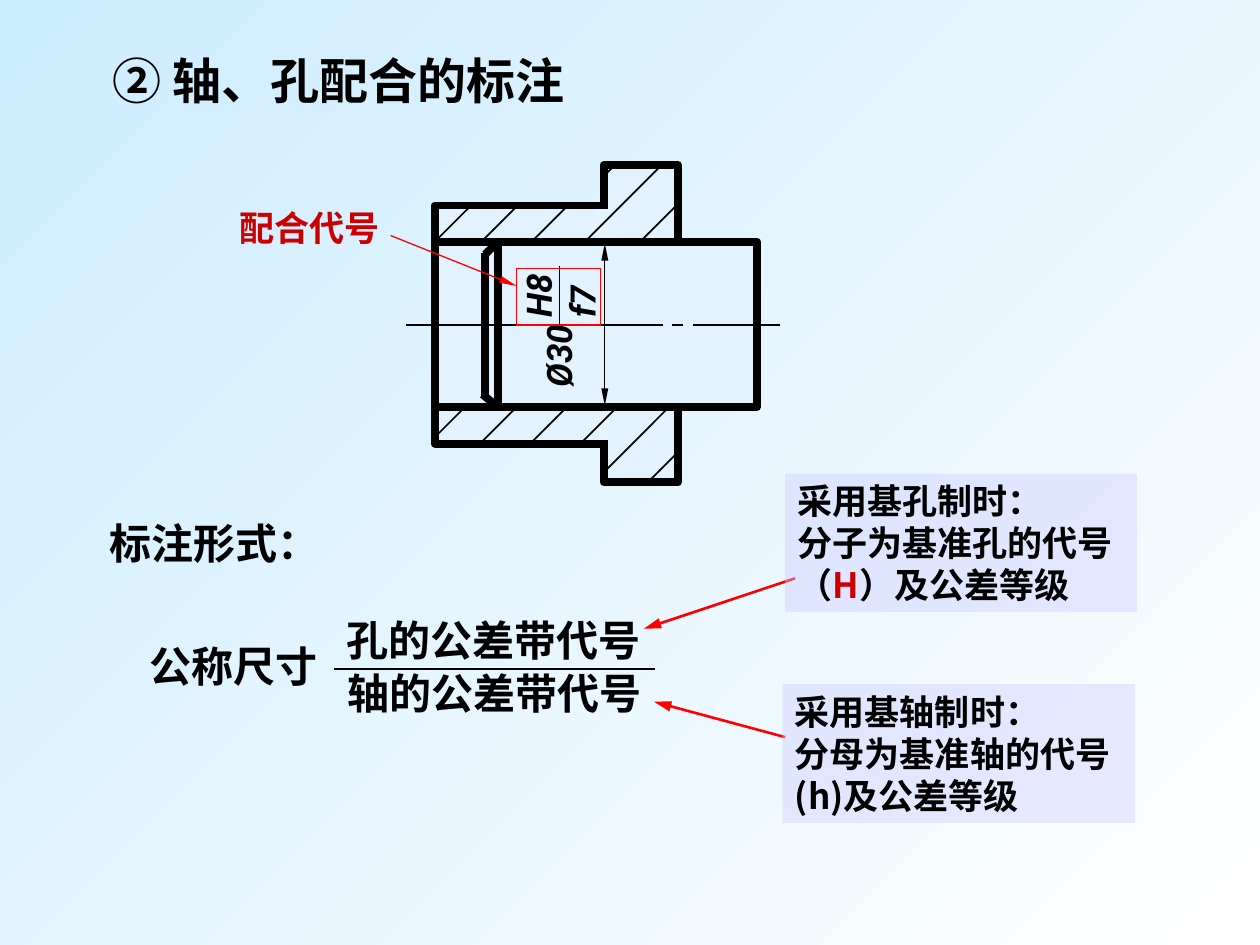
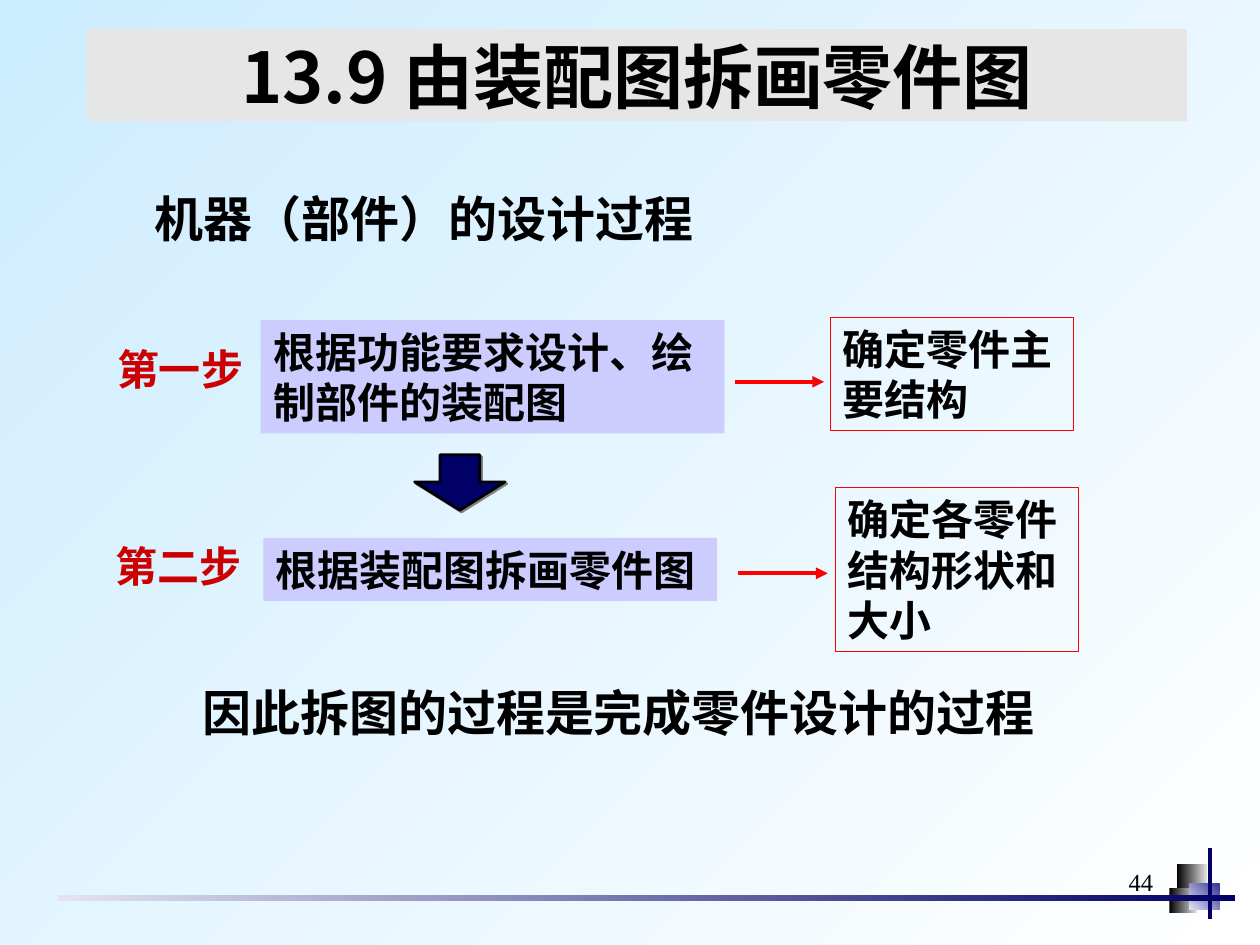
"""Build two slides on fit annotation and on deriving part drawings from an assembly drawing."""
from lxml import etree
from pptx import Presentation
from pptx import util as u
from pptx.dml.color import RGBColor
from pptx.enum import shapes, text
from pptx.oxml import ns

COLORS = {
    "sky": "CCECFF", "white": "FFFFFF", "black": "000000", "red": "FF0000",
    "crimson": "CC0000", "lilac": "CCCCFF", "metal": "E2F2FE", "eraser": "E6F4FE",
    "navy": "000066", "indigo": "333399", "mist": "E3E3F1", "silver": "E3E3E3",
    "band": "E6E6E6", "shadow": "808080",
}
CJK, SERIF, SANS = "Noto Sans CJK SC", "Times New Roman", "Roboto"

FIT_TITLE = ("② 轴、孔配合的标注", (36.7, 25.2, 313.2, 41))
FORM_LABELS = [
    ("标注形式：", (55.4, 292.3, 152, 36)),
    ("公称尺寸", (78.5, 362.2, 142.6, 36)),
    ("孔的公差带代号", (190.8, 347.8, 226, 36)),
    ("轴的公差带代号", (191.5, 378, 224.6, 36)),
]
FIT_NOTES = [
    (["采用基轴制时：", "分母为基准轴的代号(h)及公差等级"],
     (447.1, 391, 201.6, 79.2), (448.6, 421.2, 373.7, 401)),
    (["采用基孔制时：", [("分子为基准孔的代号（", "black"), ("H", "crimson"), ("）及公差等级", "black")]],
     (448.6, 270.7, 201, 79.2), (454.3, 330.5, 367.9, 359.3)),
]
BUSHING = (248.4, 117.4, 136.8, 136.1)
FLANGE = (344.9, 94.3, 42.5, 181.4)
BORE = (248.4, 138.2, 139, 94.3)
SHAFT = (284.4, 138.2, 148.3, 94.3)
HATCHES = [
    (249.1, 137.5, 20.9), (275, 138.2, 22.3), (303.8, 138.2, 21.6), (333.4, 139, 44.6),
    (366.5, 137.5, 21), (344.2, 101.5, 7.9), (247.7, 250.6, 18.4), (273.6, 254.2, 22.3),
    (303.8, 252.7, 20.5), (332.6, 252.7, 20.9), (345.6, 269.3, 37.1), (371.5, 274.3, 16.9),
]
CHAMFER = [(283.7, 139, 277.2, 145.4), (277.2, 144.7, 277.2, 226.8), (284.4, 232.6, 275.8, 225.4)]
AXIS_Y = 185.8
AXIS_DASHES = [(312.5, 378.7), (231.8, 295.2), (299.5, 306.7), (383.8, 390.2), (396, 445.7)]
DIMENSIONS = [
    ("Ø30", (283, 176.4, 72, 31.7)),
    ("H8", (285.1, 150.5, 44.6, 31.7)),
    ("f7", (313.2, 153.4, 38.2, 31.7)),
]

SECTION_TITLE = ("13.9 由装配图拆画零件图", (49.7, 16.6, 628.6, 52.6))
STATEMENTS = [
    ("机器（部件）的设计过程", (81.4, 104.4, 347, 41)),
    ("因此拆图的过程是完成零件设计的过程", (108.7, 386.6, 588.2, 41)),
]
STEPS = [
    ("第一步", (59.8, 193, 161.3, 36), "根据功能要求设计、绘制部件的装配图", (149, 182.9, 265, 64.8),
     "确定零件主要结构", (474.5, 181.4, 139, 64.8), (419.8, 218.2)),
    ("第二步", (59, 305.3, 161.3, 36), "根据装配图拆画零件图", (150.5, 307.4, 259.2, 36),
     "确定各零件结构形状和大小", (477.4, 278.6, 139, 93.6), (421.9, 327.6)),
]
STEP_ARROW_LENGTH = 51.1
FOOTER_BLOCKS = [
    ((672.5, 493.9, 17.3, 13.7), "black", "silver", 0),
    ((668.2, 507.6, 15.8, 14.4), "black", "silver", 0),
    ((679.7, 504.7, 17.3, 15.1), "indigo", "mist", 225),
    ((33.1, 511.2, 672.5, 3.6), "mist", "navy", 0),
]


def rgb(name):
    return RGBColor.from_string(COLORS[name])


def pts(values):
    return [u.Pt(value) for value in values]


def set_gradient(fill, start, end, angle):
    fill.gradient()
    fill.gradient_angle = angle
    for stop, name in zip(fill.gradient_stops, (start, end)):
        stop.color.rgb = rgb(name)


def add_element(parent, tag, **attributes):
    return etree.SubElement(parent, ns.qn(tag), attributes)


def add_box(slide, place, fill=None, line=None, width=0.75, alpha=None,
            kind=shapes.MSO_SHAPE.RECTANGLE):
    box = slide.shapes.add_shape(kind, *pts(place))
    box.shadow.inherit = False
    if fill:
        box.fill.solid()
        box.fill.fore_color.rgb = rgb(fill)
    else:
        box.fill.background()
    if alpha:
        color = box.fill._xPr.find(".//" + ns.qn("a:srgbClr"))
        add_element(color, "a:alpha", val=str(alpha * 1000))
    if line:
        box.line.color.rgb = rgb(line)
        box.line.width = u.Pt(width)
    else:
        box.line.fill.background()
    return box


def write(box, content, size=24, font=CJK, color="black", bold=True, italic=False,
          align=text.PP_ALIGN.LEFT, anchor=text.MSO_ANCHOR.TOP, wrap=True):
    frame = box.text_frame
    frame.word_wrap = wrap
    frame.vertical_anchor = anchor
    lines = [content] if isinstance(content, str) else content
    for index, line in enumerate(lines):
        para = frame.add_paragraph() if index else frame.paragraphs[0]
        para.alignment = align
        for words, tint in [(line, color)] if isinstance(line, str) else line:
            span = para.add_run()
            span.text = words
            span.font.size = u.Pt(size)
            span.font.bold = bold
            span.font.italic = italic
            span.font.color.rgb = rgb(tint)
            span.font.name = font
            add_element(span.font._element, "a:ea", typeface=CJK)


def add_text(slide, content, place, **style):
    box = slide.shapes.add_textbox(*pts(place))
    write(box, content, **style)
    return box


def add_line(slide, ends, color="black", width=1, tail=None, head=None):
    line = slide.shapes.add_connector(shapes.MSO_CONNECTOR.STRAIGHT, *pts(ends))
    line.line.color.rgb = rgb(color)
    line.line.width = u.Pt(width)
    stroke = line.line._get_or_add_ln()
    for tag, size in (("a:headEnd", head), ("a:tailEnd", tail)):
        if size:
            add_element(stroke, tag, type="triangle", w=size[0], len=size[1])
    add_element(line._element.spPr, "a:effectLst")


def add_slide(deck):
    slide = deck.slides.add_slide(deck.slide_layouts[6])
    set_gradient(slide.background.fill, "sky", "white", 315)
    return slide


def draw_fit(slide):
    for part in (BUSHING, FLANGE):
        add_box(slide, part, "metal", "black", 4.5)
    add_line(slide, (FLANGE[0], 119.5, FLANGE[0], 251.3), "eraser", 6)
    add_box(slide, BORE, "metal", "black", 4.5)
    for x, y, run in HATCHES:
        add_line(slide, (x, y, x + run, y - run))
    add_box(slide, SHAFT, "metal", "black", 4.5)
    for ends in CHAMFER:
        add_line(slide, ends, width=4.5)
    for start, end in AXIS_DASHES:
        add_line(slide, (start, AXIS_Y, end, AXIS_Y))
    add_box(slide, (305.3, 177.8, 32.4, 12.2), "metal", "eraser")
    add_line(slide, (345.6, 139, 345.6, 231.8), width=0.75, head=("sm", "lg"), tail=("sm", "lg"))
    for label, place in DIMENSIONS:
        box = add_text(slide, label, place, size=20, font=SANS, italic=True,
                       anchor=text.MSO_ANCHOR.MIDDLE, wrap=False)
        box.rotation = 270
    add_line(slide, (319.7, 151.9, 319.7, 186.5), width=0.75)
    add_box(slide, (295.2, 153.4, 48.2, 32.4), line="red")
    add_text(slide, "配合代号", (129.6, 114.5, 96.5, 31.7), size=20, font=SERIF, color="crimson")
    add_line(slide, (223.2, 134.6, 295.2, 163.4), "red", 0.75, tail=("sm", "lg"))


def build_fit_slide(deck):
    slide = add_slide(deck)
    add_text(slide, *FIT_TITLE, size=28, align=text.PP_ALIGN.CENTER, anchor=text.MSO_ANCHOR.MIDDLE)
    for label, place in FORM_LABELS:
        add_text(slide, label, place, font=SERIF)
    add_line(slide, (190.8, 382.3, 374.4, 382.3), width=0.75)
    draw_fit(slide)
    for lines, place, arrow in FIT_NOTES:
        add_line(slide, arrow, "red", 1.5, tail=("med", "lg"))
        write(add_box(slide, place, "lilac", alpha=41), lines, size=20)


def add_footer(slide, number):
    add_text(slide, number, (516.2, 491.8, 149.8, 36), size=14, font=SERIF, bold=False,
             align=text.PP_ALIGN.RIGHT)
    for place, start, end, angle in FOOTER_BLOCKS:
        set_gradient(add_box(slide, place).fill, start, end, angle)
    add_line(slide, (691.2, 484.6, 691.2, 524.9), "navy", 2.25)


def build_process_slide(deck):
    slide = add_slide(deck)
    add_footer(slide, "44")
    for statement, place in STATEMENTS:
        add_text(slide, statement, place, size=28)
    for name, name_place, task, task_place, result, result_place, (x, y) in STEPS:
        write(add_box(slide, task_place, "lilac"), task)
        add_line(slide, (x, y, x + STEP_ARROW_LENGTH, y), "red", 2.25, tail=("med", "med"))
        write(add_box(slide, result_place, line="red"), result)
        add_text(slide, name, name_place, font=SERIF, color="crimson")
    arrow = add_box(slide, (236.9, 259.9, 51.8, 31.7), "navy", "black", 1.5,
                    kind=shapes.MSO_SHAPE.DOWN_ARROW)
    arrow.adjustments[0], arrow.adjustments[1] = 0.44, 0.51
    effects = arrow._element.spPr.find(ns.qn("a:effectLst"))
    shadow = add_element(effects, "a:outerShdw", dist=str(u.Pt(1.4)), dir="2700000")
    add_element(shadow, "a:srgbClr", val=COLORS["shadow"])
    title, place = SECTION_TITLE
    write(add_box(slide, place, "band"), title, size=40, align=text.PP_ALIGN.CENTER,
          anchor=text.MSO_ANCHOR.MIDDLE)


def main():
    deck = Presentation()
    deck.slide_width, deck.slide_height = pts((720, 540))
    build_fit_slide(deck)
    build_process_slide(deck)
    deck.save("out.pptx")


if __name__ == "__main__":
    main()
